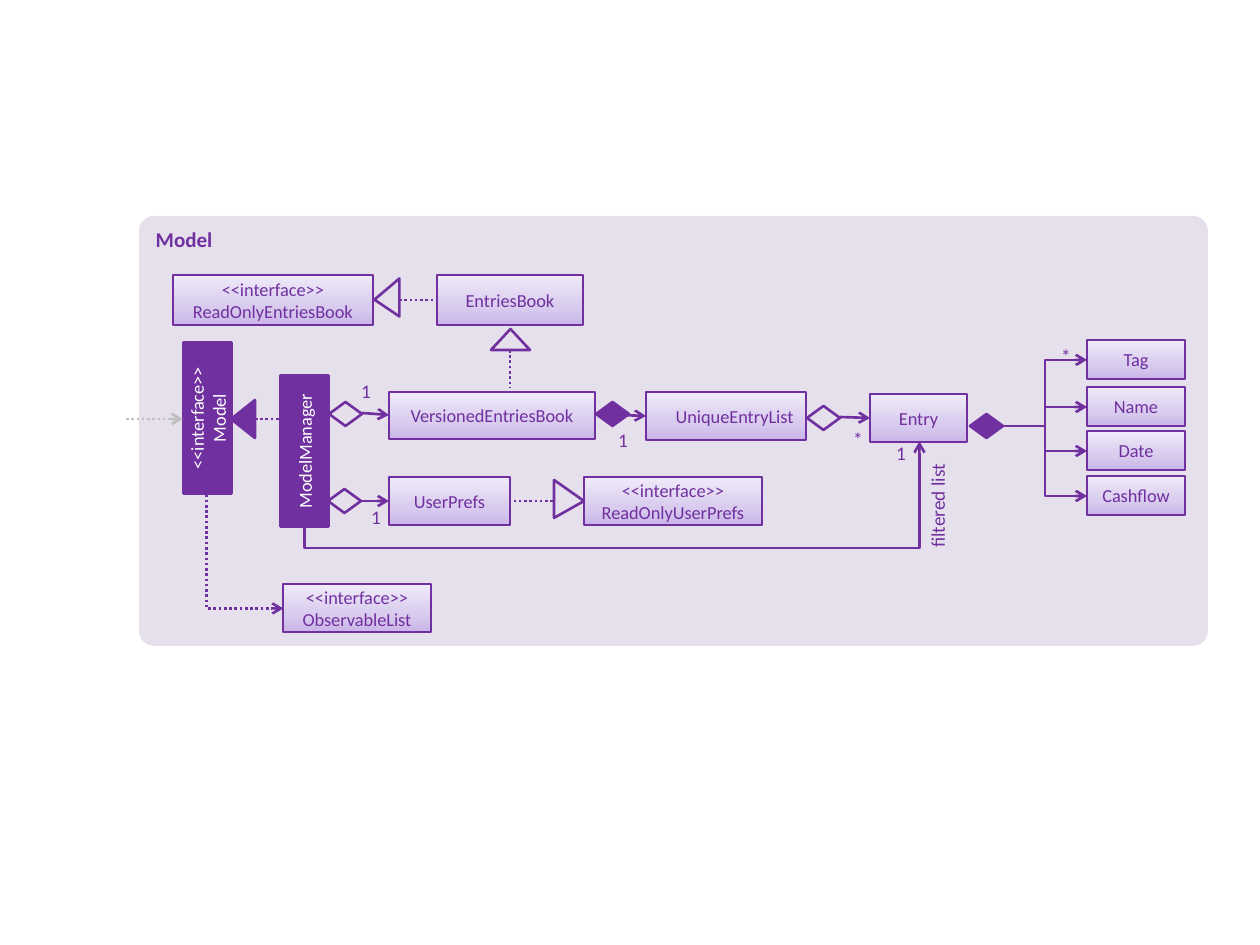
from copy import deepcopy
from dataclasses import dataclass

from lxml.etree import SubElement
from pptx import Presentation
from pptx.dml.color import RGBColor
from pptx.enum.dml import MSO_LINE
from pptx.enum.shapes import MSO_CONNECTOR, MSO_SHAPE
from pptx.enum.text import MSO_ANCHOR, PP_ALIGN
from pptx.oxml.ns import qn
from pptx.util import Emu, Inches, Pt


@dataclass(frozen=True)
class Theme:
    """Colours, font and sizes of the class diagram."""
    purple: str = "7030A0"
    lavender: str = "E6E0EC"
    grey: str = "BFBFBF"
    white: str = "FFFFFF"
    gradient: tuple = ((0, "C9B5E8"), (0.35, "D8CBEE"), (1, "F0EAF9"))
    font: str = "Calibri"
    heading: float = 12
    label: float = 11
    body: float = 10.5
    stroke: float = 1.5


def px(value):
    """Turn pixels into EMU."""
    return Emu(round(value * 914400 / 126))


def write(frame, text, size, color, align=PP_ALIGN.CENTER, bold=False,
          anchor=MSO_ANCHOR.MIDDLE, font="Calibri"):
    """Fill a text frame with uniformly formatted text."""
    frame.text = text
    frame.word_wrap = True
    frame.vertical_anchor = anchor
    for paragraph in frame.paragraphs:
        paragraph.alignment = align
        for run in paragraph.runs:
            run.font.name = font
            run.font.size = Pt(size)
            run.font.bold = bold
            run.font.color.rgb = RGBColor.from_string(color)


class Diagram:
    """Draws class diagram elements on one slide."""

    def __init__(self, slide, theme):
        self.shapes = slide.shapes
        self.theme = theme

    def stroke(self, line, color=None, dotted=False):
        """Style an outline or a connector."""
        line.color.rgb = RGBColor.from_string(color or self.theme.purple)
        line.width = Pt(self.theme.stroke)
        if dotted:
            line.dash_style = MSO_LINE.ROUND_DOT

    def block(self, kind, box, fill=None, outlined=True, rotation=0, adjust=None):
        """Add a preset shape with a plain fill or none."""
        shape = self.shapes.add_shape(kind, *map(px, box))
        shape.shadow.inherit = False
        shape.rotation = rotation
        if adjust is not None:
            shape.adjustments[0] = adjust
        if fill:
            shape.fill.solid()
            shape.fill.fore_color.rgb = RGBColor.from_string(fill)
        else:
            shape.fill.background()
        if outlined:
            self.stroke(shape.line)
        else:
            shape.line.fill.background()
        return shape

    def panel(self, text, box):
        """Add the rounded package background with its heading."""
        package = self.block(MSO_SHAPE.ROUNDED_RECTANGLE, box, self.theme.lavender,
                             outlined=False, adjust=0.035)
        write(package.text_frame, text, self.theme.heading, self.theme.purple,
              PP_ALIGN.LEFT, True, MSO_ANCHOR.TOP, self.theme.font)

    def entity(self, text, box, align=PP_ALIGN.CENTER):
        """Add a class box with the gradient fill."""
        entity = self.block(MSO_SHAPE.RECTANGLE, box)
        entity.fill.gradient()
        entity.fill.gradient_angle = 90
        stops = entity._element.spPr.find(qn("a:gradFill")).find(qn("a:gsLst"))
        stops.append(deepcopy(stops[-1]))
        for stop, (position, color) in zip(entity.fill.gradient_stops, self.theme.gradient):
            stop.position = position
            stop.color.rgb = RGBColor.from_string(color)
        write(entity.text_frame, text, self.theme.body, self.theme.purple, align,
              font=self.theme.font)

    def tower(self, text, box):
        """Add a solid class box turned upright."""
        tower = self.block(MSO_SHAPE.RECTANGLE, box, self.theme.purple, rotation=270)
        write(tower.text_frame, text, self.theme.body, self.theme.white,
              font=self.theme.font)

    def diamond(self, left, top, filled=False):
        """Add an aggregation or composition diamond."""
        self.block(MSO_SHAPE.FLOWCHART_DECISION, (left, top, 33, 24),
                   self.theme.purple if filled else None)

    def triangle(self, box, fill, rotation=0, adjust=0.5):
        """Add an inheritance triangle."""
        self.block(MSO_SHAPE.ISOSCELES_TRIANGLE, box, fill, rotation=rotation, adjust=adjust)

    def label(self, text, box, rotation=0, align=PP_ALIGN.CENTER, inset=0):
        """Add a free label such as a multiplicity."""
        label = self.shapes.add_textbox(*map(px, box))
        label.rotation = rotation
        frame = label.text_frame
        frame.margin_left = frame.margin_right = px(inset * 2)
        frame.margin_top = frame.margin_bottom = px(inset)
        write(frame, text, self.theme.label, self.theme.purple, align,
              anchor=MSO_ANCHOR.TOP, font=self.theme.font)

    def link(self, start, end, arrow=True, dotted=False, color=None,
             preset="line", rotation=0, adjust=None):
        """Add a straight or bent connector."""
        kind = MSO_CONNECTOR.STRAIGHT if preset == "line" else MSO_CONNECTOR.ELBOW
        link = self.shapes.add_connector(kind, *map(px, start + end))
        self.stroke(link.line, color, dotted)
        properties = link._element.spPr
        SubElement(properties, qn("a:effectLst"))
        geometry = properties.find(qn("a:prstGeom"))
        geometry.set("prst", preset)
        if rotation:
            properties.find(qn("a:xfrm")).set("rot", str(rotation * 60000))
        if adjust is not None:
            SubElement(geometry.find(qn("a:avLst")), qn("a:gd"),
                       name="adj1", fmla=f"val {round(adjust * 100000)}")
        if arrow:
            SubElement(properties.find(qn("a:ln")), qn("a:tailEnd"), type="arrow")


def main():
    """Build the model class diagram."""
    deck = Presentation()
    deck.slide_width, deck.slide_height = Inches(10), Inches(7.5)
    theme = Theme()
    diagram = Diagram(deck.slides.add_slide(deck.slide_layouts[6]), theme)

    diagram.panel("Model", (139, 216, 1069, 430))
    diagram.tower("ModelManager", (229, 427, 151, 48))
    diagram.tower("<<interface>>\nModel", (132, 394, 151, 48))

    for name, box in (
        ("UserPrefs", (389, 477, 121, 48)),
        ("VersionedEntriesBook", (389, 392, 206, 47)),
        ("Entry", (870, 394, 97, 48)),
        ("<<interface>>\vReadOnlyEntriesBook", (173, 275, 200, 50)),
        ("EntriesBook", (437, 275, 146, 50)),
        ("<<interface>>\vObservableList", (283, 584, 148, 48)),
        ("<<interface>>\nReadOnlyUserPrefs", (584, 477, 178, 48)),
    ):
        diagram.entity(name, box)
    diagram.entity("UniqueEntryList", (646, 392, 160, 48), PP_ALIGN.RIGHT)

    for name, top in (("Tag", 340), ("Name", 387), ("Date", 431), ("Cashflow", 476)):
        diagram.entity(name, (1087, top, 98, 39))
        diagram.link((1003, 426), (1087, top + 20), preset="bentConnector3", adjust=0.5)

    for start, end in (
        ((359, 501), (389, 501)),
        ((362, 413), (389, 415)),
        ((596, 414), (646, 416)),
        ((840, 417), (870, 418)),
    ):
        diagram.link(start, end)
    for start, end in (
        ((255, 419), (285, 419)),
        ((510, 350), (510, 388)),
        ((399, 300), (437, 300)),
        ((553, 501), (510, 501)),
    ):
        diagram.link(start, end, arrow=False, dotted=True)
    diagram.link((126, 419), (183, 419), dotted=True, color=theme.grey)
    diagram.link((654, 791), (570, 176), preset="bentConnector3", rotation=90, adjust=-0.267)
    diagram.link((302, 513), (188, 590), dotted=True, preset="bentConnector2", rotation=270)

    for left, top, filled in (
        (328, 489, False), (329, 402, False), (596, 402, True),
        (807, 406, False), (970, 414, True),
    ):
        diagram.diamond(left, top, filled)

    diagram.triangle((224, 407, 38, 24), theme.purple, 270)
    diagram.triangle((491, 329, 39, 21), theme.lavender)
    diagram.triangle((368, 285, 38, 25), theme.lavender, 270, 0.445)
    diagram.triangle((550, 484, 38, 30), theme.lavender, 90, 0.555)

    for multiplicity, left, top in (
        ("1", 610, 428), ("*", 845, 427), ("1", 353, 379),
        ("1", 363, 505), ("1", 888, 441), ("*", 1053, 344),
    ):
        diagram.label(multiplicity, (left, top, 26, 25))
    diagram.label("filtered list", (877, 494, 121, 36), 270, PP_ALIGN.RIGHT, 6.3)

    deck.save("out.pptx")


main()
